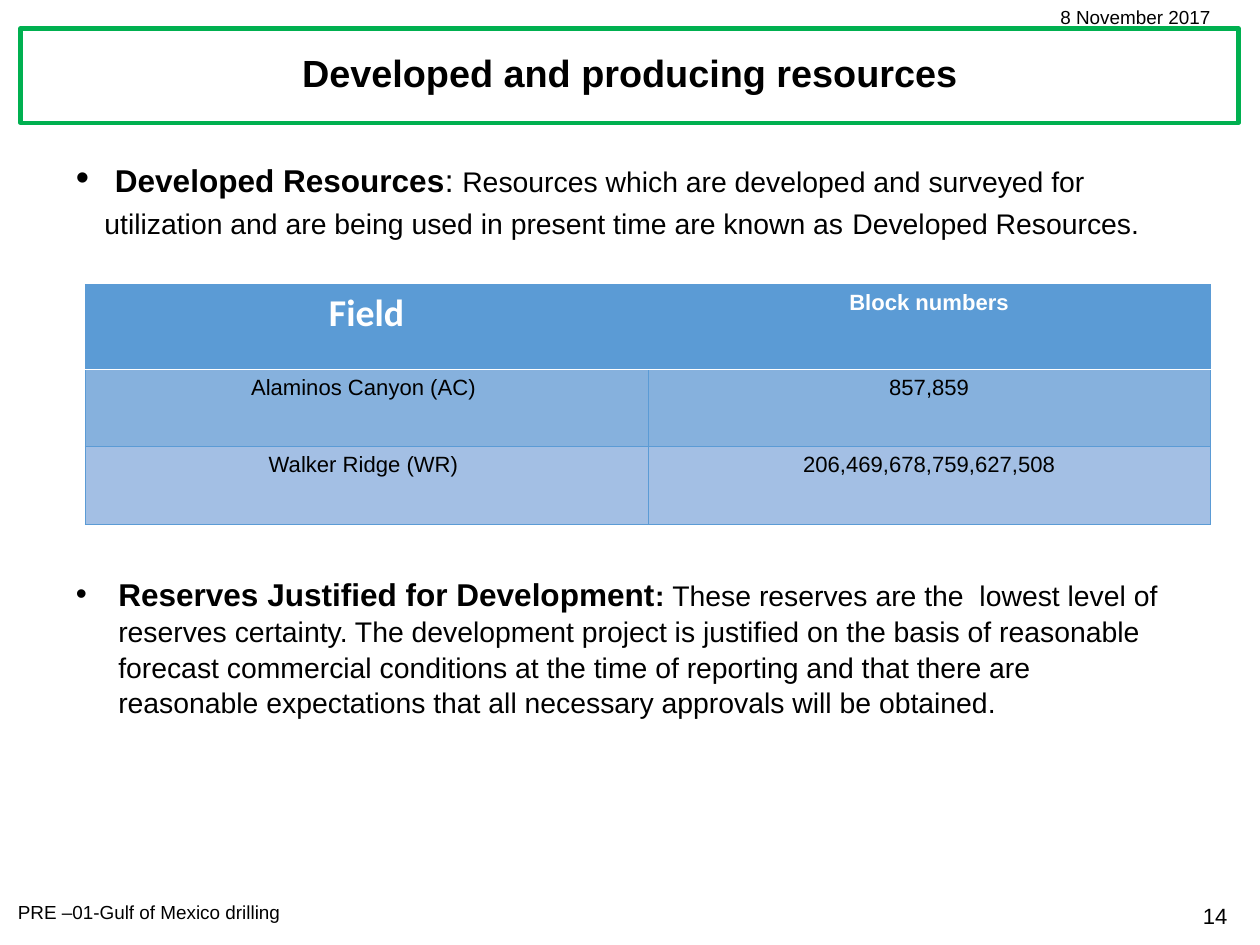
from lxml.etree import SubElement
from pptx import Presentation
from pptx.dml.color import RGBColor
from pptx.enum.shapes import MSO_SHAPE
from pptx.enum.text import MSO_ANCHOR, PP_ALIGN
from pptx.oxml import parse_xml
from pptx.oxml.ns import nsdecls, qn
from pptx.util import Cm, Pt

BLACK, WHITE, GREEN, BLUE = "000000", "FFFFFF", "00B050", "5B9BD5"
ROWS = [
    ("Field", "Block numbers"),
    ("Alaminos Canyon (AC) ", "857,859"),
    ("Walker Ridge (WR) ", "206,469,678,759,627,508"),
]
FILLS = [BLUE, "86B1DD", "A3BFE4"]
HEIGHTS = [1.9, 1.73, 1.73]


def color(code):
    return RGBColor.from_string(code)


def style(run, size, bold=False, tint=BLACK, face="Arial"):
    font = run.font
    font.name, font.size, font.bold = face, Pt(size), bold
    font.color.rgb = color(tint)


def add_text(slide, box, text, size, bold=False, align=PP_ALIGN.LEFT):
    frame = slide.shapes.add_textbox(*map(Cm, box)).text_frame
    frame.word_wrap = True
    frame.text = text
    para = frame.paragraphs[0]
    para.alignment = align
    style(para.runs[0], size, bold)
    return frame


def add_bullet(slide, box, parts, indent, spacing):
    """Each part is its text, size and weight."""
    frame = slide.shapes.add_textbox(*map(Cm, box)).text_frame
    frame.word_wrap = True
    para = frame.paragraphs[0]
    para.line_spacing = spacing
    for text, size, bold in parts:
        run = para.add_run()
        run.text = text
        style(run, size, bold)
    props = para._p.get_or_add_pPr()
    props.set("marL", str(Cm(indent)))
    props.set("indent", str(-Cm(indent)))
    SubElement(props, qn("a:buFont"), typeface="Arial")
    SubElement(props, qn("a:buChar"), char="•")


def add_edge(cell, index, side, tint, width):
    line = parse_xml(
        f'<a:ln{side} {nsdecls("a")} w="{Pt(width)}"><a:solidFill>'
        f'<a:srgbClr val="{tint}"/></a:solidFill></a:ln{side}>')
    cell._tc.get_or_add_tcPr().insert(index, line)


def add_cell(cell, text, fill, head, face):
    cell.fill.solid()
    cell.fill.fore_color.rgb = color(fill)
    cell.text = text
    para = cell.text_frame.paragraphs[0]
    para.alignment = PP_ALIGN.CENTER
    size = 24 if face == "Calibri" else 14
    style(para.runs[0], size, head, WHITE if head else BLACK, face)


def add_grid(slide):
    box = map(Cm, (1.91, 6.37, 25.2, sum(HEIGHTS)))
    table = slide.shapes.add_table(len(ROWS), 2, *box).table
    for r, row in enumerate(ROWS):
        table.rows[r].height = Cm(HEIGHTS[r])
        for c, text in enumerate(row):
            cell = table.cell(r, c)
            head = r == 0
            face = "Calibri" if head and c == 0 else "Arial"
            add_cell(cell, text, FILLS[r], head, face)
            for i, side in enumerate("LRTB"):
                # The header is parted from the body by a white rule
                rule = (head and side == "B") or (r == 1 and side == "T")
                add_edge(cell, i, side, WHITE if rule else BLUE,
                         1 if rule else 0.5)


def add_frame(slide):
    box = map(Cm, (0.46, 0.64, 27.28, 2.11))
    frame = slide.shapes.add_shape(MSO_SHAPE.RECTANGLE, *box)
    frame.shadow.inherit = False
    frame.fill.solid()
    frame.fill.fore_color.rgb = color(WHITE)
    frame.line.color.rgb = color(GREEN)
    frame.line.width = Pt(2.75)


def main():
    deck = Presentation()
    deck.slide_width, deck.slide_height = Cm(28.22), Cm(21.16)
    slide = deck.slides.add_slide(deck.slide_layouts[6])

    # Title, date and footer
    add_frame(slide)
    add_text(slide, (23.88, 20.09, 3.86, 0.86), "14", 14,
             align=PP_ALIGN.RIGHT)
    add_text(slide, (0.15, 20.04, 10.87, 0.76),
             "PRE –01-Gulf of Mexico drilling", 12)
    add_text(slide, (23.5, 0, 4.27, 0.76), "8 November 2017", 12)
    title = add_text(slide, (0.53, 0.64, 27.15, 2.11),
                     "Developed and producing resources", 24, True,
                     PP_ALIGN.CENTER)
    title.vertical_anchor = MSO_ANCHOR.MIDDLE
    title.paragraphs[0].line_spacing = 0.9

    # Definitions around the table
    add_bullet(slide, (1.45, 3.25, 25.68, 2.3), [
        (" ", 24, False),
        ("Developed Resources", 20, True),
        (": ", 20, False),
        ("Resources which are developed and surveyed for utilization and "
         "are being used in present time are known as", 18, False),
        (" ", 20, False),
        ("Developed Resources.", 18, False),
    ], 0.64, 1.08)
    add_grid(slide)
    add_bullet(slide, (1.45, 12.7, 25.07, 3.43), [
        ("Reserves Justified for Development", 20, True),
        (": ", 18, True),
        ("These reserves are the  lowest level of reserves certainty. The "
         "development project is justified on the basis of reasonable "
         "forecast commercial conditions at the time of reporting and that "
         "there are reasonable expectations that all necessary approvals "
         "will be obtained.", 18, False),
    ], 0.95, 1.05)

    deck.save("out.pptx")


if __name__ == "__main__":
    main()
